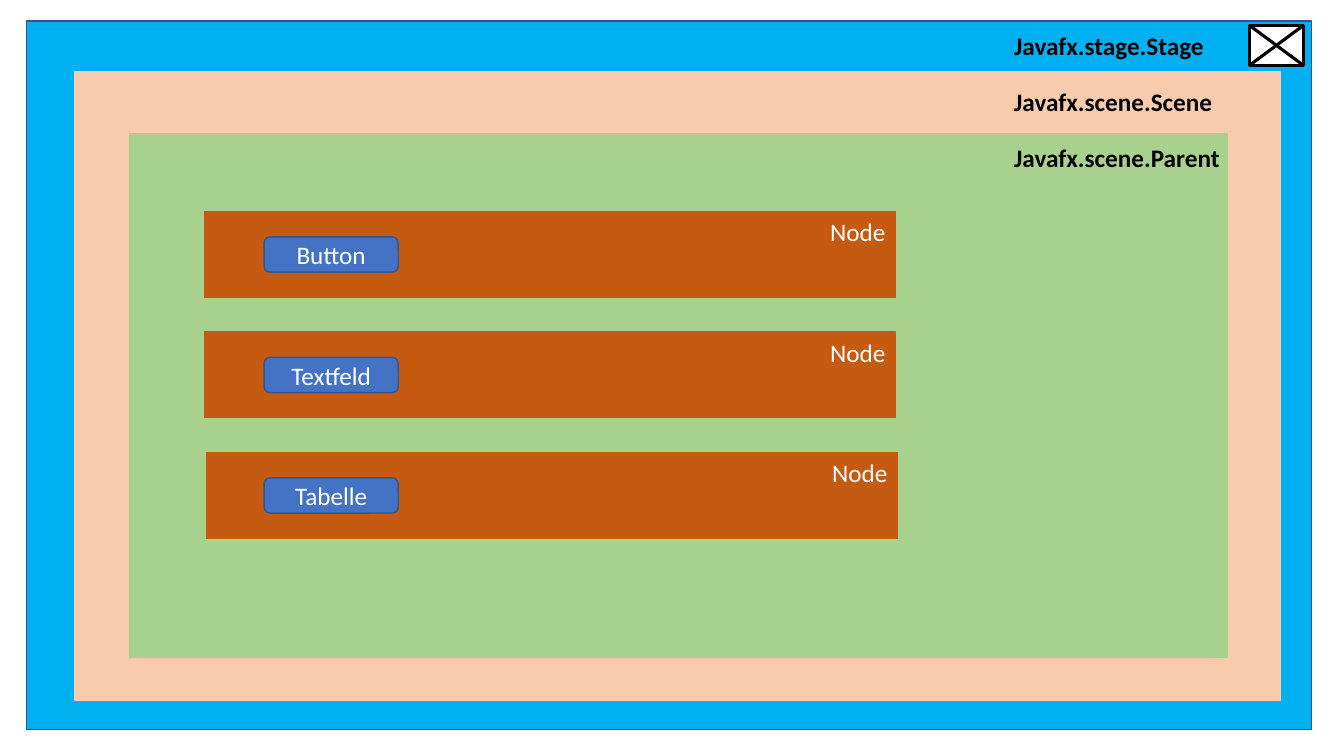
"""Build a slide showing how JavaFX stage, scene, parent and nodes nest."""
from lxml import etree
from pptx import Presentation
from pptx.dml.color import RGBColor
from pptx.enum.shapes import MSO_CONNECTOR, MSO_SHAPE
from pptx.enum.text import MSO_ANCHOR, MSO_AUTO_SIZE, PP_ALIGN
from pptx.oxml.ns import qn
from pptx.util import Inches, Pt

RECTANGLE = MSO_SHAPE.RECTANGLE
ROUNDED = MSO_SHAPE.ROUNDED_RECTANGLE
STRAIGHT = MSO_CONNECTOR.STRAIGHT
TOP, MIDDLE = MSO_ANCHOR.TOP, MSO_ANCHOR.MIDDLE
LEFT, CENTER, RIGHT = PP_ALIGN.LEFT, PP_ALIGN.CENTER, PP_ALIGN.RIGHT
GROW = MSO_AUTO_SIZE.SHAPE_TO_FIT_TEXT

COLORS = {
    "stage": "00B0F0",
    "scene": "F8CBAD",
    "parent": "A9D18E",
    "node": "C55A11",
    "control": "4472C4",
    "outline": "325491",
    "black": "000000",
    "white": "FFFFFF",
}

deck = Presentation()
deck.slide_width, deck.slide_height = Inches(13.33), Inches(7.5)
page = deck.slides.add_slide(deck.slide_layouts[6])


def add_box(kind, place, fill, line, width=1):
    box = page.shapes.add_shape(kind, *[Inches(value) for value in place])
    box.shadow.inherit = False
    box.fill.solid()
    box.fill.fore_color.rgb = RGBColor.from_string(COLORS[fill])
    box.line.color.rgb = RGBColor.from_string(COLORS[line])
    box.line.width = Pt(width)
    return box


def write(box, text, color, align, anchor, bold=False):
    frame = box.text_frame
    frame.text = text
    frame.word_wrap = True
    frame.vertical_anchor = anchor
    para = frame.paragraphs[0]
    para.alignment = align
    span = para.runs[0]
    span.font.name = "Calibri"
    span.font.size = Pt(18)
    span.font.bold = bold
    span.font.color.rgb = RGBColor.from_string(COLORS[color])


add_box(RECTANGLE, (0.26, 0.21, 12.75, 7.03), "stage", "outline")
add_box(RECTANGLE, (0.74, 0.71, 11.96, 6.24), "scene", "scene")
add_box(RECTANGLE, (1.29, 1.33, 10.88, 5.19), "parent", "parent")

layers = ["Javafx.stage.Stage", "Javafx.scene.Scene", "Javafx.scene.Parent"]
for index, layer in enumerate(layers):
    label = page.shapes.add_textbox(
        Inches(9.96), Inches(0.25 + 0.555 * index), Inches(2.82), Inches(0.4))
    write(label, layer, "black", LEFT, TOP, bold=True)
    label.text_frame.auto_size = GROW

close_left, close_top, close_right, close_bottom = 12.39, 0.25, 12.93, 0.65
add_box(RECTANGLE,
        (close_left, close_top, close_right - close_left, close_bottom - close_top),
        "white", "black", 2.25)
for start, end in [(close_top, close_bottom), (close_bottom, close_top)]:
    stroke = page.shapes.add_connector(
        STRAIGHT, Inches(close_left), Inches(start), Inches(close_right), Inches(end))
    stroke.line.color.rgb = RGBColor.from_string(COLORS["black"])
    stroke.line.width = Pt(2.25)
    etree.SubElement(stroke._element.spPr, qn("a:effectLst"))

controls = [("Button", 2.03), ("Textfeld", 2.03), ("Tabelle", 2.05)]
for index, (name, left) in enumerate(controls):
    top = 2.1 + 1.195 * index
    node = add_box(RECTANGLE, (left, top, 6.85, 0.85), "node", "node")
    write(node, "Node", "white", RIGHT, TOP)
    control = add_box(ROUNDED, (2.62, top + 0.25, 1.33, 0.35), "control", "outline")
    write(control, name, "white", CENTER, MIDDLE)

deck.save("out.pptx")
